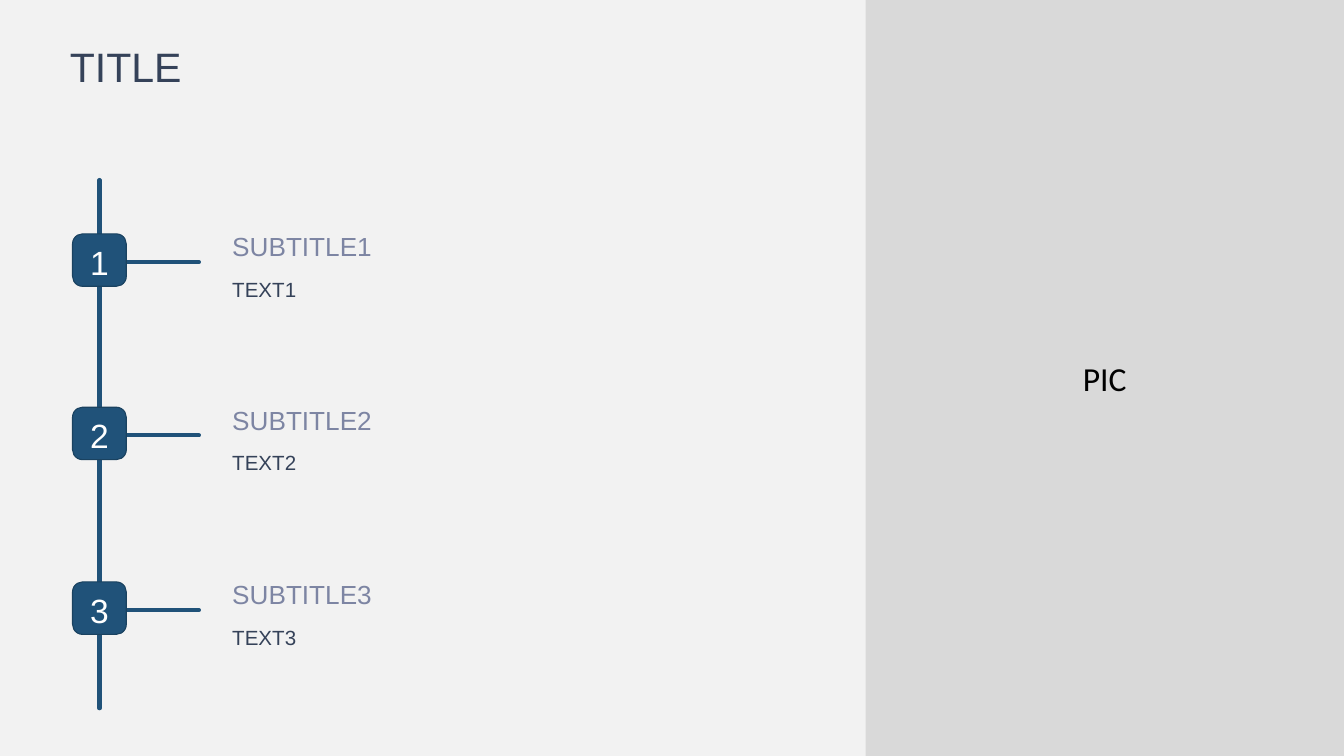
from dataclasses import dataclass

from lxml import etree
from pptx import Presentation
from pptx.dml.color import RGBColor
from pptx.enum import shapes, text
from pptx.oxml.ns import qn
from pptx.util import Inches, Pt

NAVY, EDGE, INK, LILAC = "205279", "1A4260", "354259", "7D85A3"
SLIDE_WIDTH = 10
SLIDE_HEIGHT = SLIDE_WIDTH * 9 / 16
BADGE_LEFT, BADGE_WIDTH, BADGE_HEIGHT = 0.54, 0.4, 0.39
BRANCH_START, BRANCH_END = 0.94, 1.48
TEXT_LEFT, TEXT_WIDTH = 1.63, 4.67
PANEL_LEFT = 6.44


@dataclass
class Step:
    number: str
    subtitle: str
    body: str
    top: float


@dataclass
class Style:
    size: float
    color: str
    font: str = "Arial"
    align: text.PP_ALIGN = text.PP_ALIGN.LEFT
    anchor: text.MSO_ANCHOR = text.MSO_ANCHOR.TOP


TITLE = Style(22, INK)
SUBTITLE = Style(14, LILAC, anchor=text.MSO_ANCHOR.BOTTOM)
BODY = Style(11, INK)
NUMBER = Style(18, "FFFFFF", align=text.PP_ALIGN.CENTER)
PANEL = Style(18, "000000", "Calibri", text.PP_ALIGN.CENTER, text.MSO_ANCHOR.MIDDLE)

STEPS = [
    Step("1", "SUBTITLE1", "TEXT1", 1.74),
    Step("2", "SUBTITLE2", "TEXT2", 3.03),
    Step("3", "SUBTITLE3", "TEXT3", 4.33),
]


def rgb(color: str) -> RGBColor:
    return RGBColor.from_string(color)


def write(shape, words: str, style: Style) -> None:
    frame = shape.text_frame
    frame_format = {
        "word_wrap": True,
        "auto_size": text.MSO_AUTO_SIZE.NONE,
        "vertical_anchor": style.anchor,
    }
    for name, value in frame_format.items():
        setattr(frame, name, value)
    paragraph = frame.paragraphs[0]
    paragraph.alignment = style.align
    run = paragraph.add_run()
    run.text = words
    for name, value in {"name": style.font, "size": Pt(style.size)}.items():
        setattr(run.font, name, value)
    run.font.color.rgb = rgb(style.color)


def add_text(slide, left: float, top: float, width: float, height: float,
             words: str, style: Style) -> None:
    box = slide.shapes.add_textbox(*map(Inches, (left, top, width, height)))
    write(box, words, style)


def add_block(slide, left: float, top: float, width: float, height: float,
              rounding: float, fill: str, edge: str | None = None):
    block = slide.shapes.add_shape(shapes.MSO_SHAPE.ROUNDED_RECTANGLE,
                                   *map(Inches, (left, top, width, height)))
    block.adjustments[0] = rounding
    block.shadow.inherit = False
    block.fill.solid()
    block.fill.fore_color.rgb = rgb(fill)
    if edge:
        block.line.color.rgb = rgb(edge)
        block.line.width = Pt(0.6)
    else:
        block.line.fill.background()
    return block


def add_line(slide, x1: float, y1: float, x2: float, y2: float) -> None:
    """Draw a round-capped timeline stroke."""
    line = slide.shapes.add_connector(shapes.MSO_CONNECTOR.STRAIGHT,
                                      *map(Inches, (x1, y1, x2, y2)))
    line.line.color.rgb = rgb(NAVY)
    line.line.width = Pt(2.25)
    properties = line._element.spPr
    properties.find(qn("a:ln")).set("cap", "rnd")
    etree.SubElement(properties, qn("a:effectLst"))


def add_step(slide, step: Step) -> None:
    add_line(slide, BRANCH_START, step.top + 0.21, BRANCH_END, step.top + 0.21)
    add_block(slide, BADGE_LEFT, step.top, BADGE_WIDTH, BADGE_HEIGHT, 0.19, NAVY, EDGE)
    add_text(slide, BADGE_LEFT, step.top + 0.01, BADGE_WIDTH, 0.4, step.number, NUMBER)
    add_text(slide, TEXT_LEFT, step.top - 0.34, TEXT_WIDTH, 0.6, step.subtitle, SUBTITLE)
    add_text(slide, TEXT_LEFT, step.top + 0.27, TEXT_WIDTH, 0.56, step.body, BODY)


def main() -> None:
    deck = Presentation()
    deck.slide_width, deck.slide_height = Inches(SLIDE_WIDTH), Inches(SLIDE_HEIGHT)
    slide = deck.slides.add_slide(deck.slide_layouts[5])
    slide.background.fill.solid()
    slide.background.fill.fore_color.rgb = rgb("F2F2F2")

    title = slide.shapes.title
    place = {"left": 0.42, "top": 0.26, "width": 5.52, "height": 0.85}
    for name, value in place.items():
        setattr(title, name, Inches(value))
    write(title, "TITLE", TITLE)

    add_line(slide, 0.74, 5.27, 0.74, 1.34)
    for step in STEPS:
        add_step(slide, step)

    panel = add_block(slide, PANEL_LEFT, 0, SLIDE_WIDTH - PANEL_LEFT, SLIDE_HEIGHT,
                      0, "D9D9D9")
    write(panel, "PIC", PANEL)
    deck.save("out.pptx")


if __name__ == "__main__":
    main()
